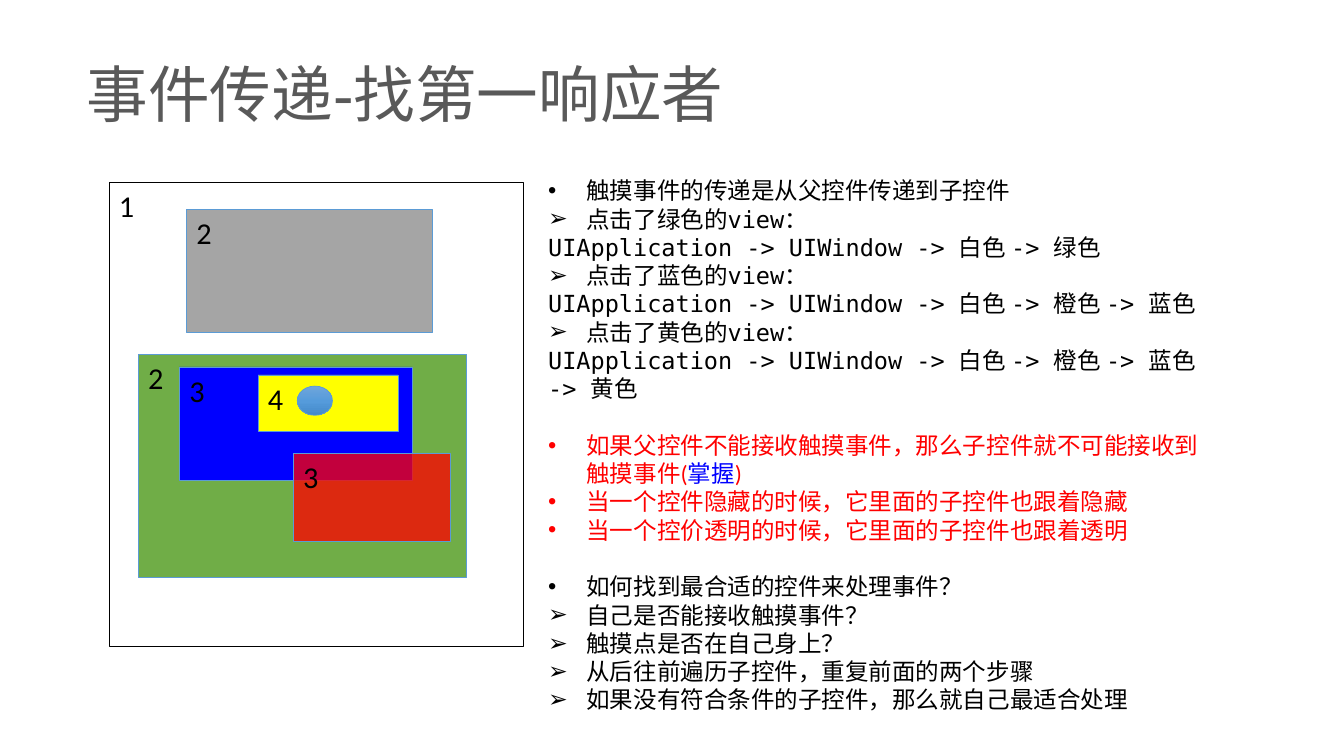
from dataclasses import dataclass
from typing import NamedTuple

from lxml import etree
from pptx import Presentation
from pptx.dml.color import RGBColor
from pptx.enum.shapes import MSO_SHAPE
from pptx.enum.text import MSO_ANCHOR, MSO_AUTO_SIZE
from pptx.oxml.ns import qn
from pptx.util import Inches, Pt

RECT, OVAL = MSO_SHAPE.RECTANGLE, MSO_SHAPE.OVAL
TOP, MIDDLE = MSO_ANCHOR.TOP, MSO_ANCHOR.MIDDLE
NO_FIT, GROW = MSO_AUTO_SIZE.NONE, MSO_AUTO_SIZE.SHAPE_TO_FIT_TEXT
DOT, ARROW = "•", "➢"


@dataclass(frozen=True)
class Theme:
    """Colours, fonts and sizes of the slide."""
    title: str = "595959"
    ink: str = "000000"
    alert: str = "FF0000"
    link: str = "0000FF"
    outline: str = "5B9BD5"
    touch: tuple = ((0, "71A6DB"), (50, "559BDB"), (100, "448ACA"))
    title_font: str = "Arial"
    label_font: str = "Calibri"
    mono_font: str = "DejaVu Sans Mono"
    title_size: float = 44
    label_size: float = 21.6
    body_size: float = 16.8
    hairline: float = 0.5
    section_gap: float = 20.3
    indent: float = 0.38


class Box(NamedTuple):
    """Left, top, width and height in percent of the slide."""
    x: float
    y: float
    w: float
    h: float


class Run(NamedTuple):
    """A stretch of text in one format."""
    text: str
    font: str
    size: float
    color: str


class Para(NamedTuple):
    """A paragraph with an optional bullet and gap above."""
    runs: list[Run]
    bullet: str = ""
    gap: float = 0


class View(NamedTuple):
    """A nested view with its depth and fill."""
    depth: int
    box: Box
    fill: str
    line: str
    opacity: int = 100


T = Theme()
prs = Presentation()
prs.slide_width, prs.slide_height = Inches(13.33), Inches(7.5)
s = prs.slides.add_slide(prs.slide_layouts[6])


def place(box: Box) -> list[int]:
    """Turn slide shares into lengths."""
    sides = (prs.slide_width, prs.slide_height) * 2
    return [round(share * side / 100) for share, side in zip(box, sides)]


def apply(target, formats: dict) -> None:
    """Set each attribute named in the dict."""
    for name, value in formats.items():
        setattr(target, name, value)


def add_bullet(p, char: str) -> None:
    """Give the paragraph a hanging bullet."""
    pPr = p._p.get_or_add_pPr()
    pPr.set("marL", str(Inches(T.indent)))
    pPr.set("indent", str(-Inches(T.indent)))
    etree.SubElement(pPr, qn("a:buFont"), typeface="Arial")
    etree.SubElement(pPr, qn("a:buChar"), char=char)


def add_text(shapes, box: Box, paras: list[Para], **frame):
    """Add a text box holding the paragraphs."""
    sp = shapes.add_textbox(*place(box))
    tf = sp.text_frame
    apply(tf, {"word_wrap": True, "auto_size": NO_FIT, "vertical_anchor": TOP} | frame)
    for i, para in enumerate(paras):
        p = tf.add_paragraph() if i else tf.paragraphs[0]
        p.space_before = Pt(para.gap)
        if para.bullet:
            add_bullet(p, para.bullet)
        for run in para.runs:
            r = p.add_run()
            r.text = run.text
            apply(r.font, {"name": run.font, "size": Pt(run.size)})
            r.font.color.rgb = RGBColor.from_string(run.color)
    return sp


def add_outlined(shapes, kind, box: Box, line: str):
    """Add a flat shape with a hairline outline."""
    sp = shapes.add_shape(kind, *place(box))
    sp.shadow.inherit = False
    sp.line.color.rgb = RGBColor.from_string(line)
    sp.line.width = Pt(T.hairline)
    return sp


def add_view(view: View) -> None:
    """Group a filled view with its depth label."""
    shapes = s.shapes.add_group_shape().shapes
    sp = add_outlined(shapes, RECT, view.box, view.line)
    sp.fill.solid()
    sp.fill.fore_color.rgb = RGBColor.from_string(view.fill)
    if view.opacity < 100:
        clr = sp._element.spPr.find(qn("a:solidFill"))[0]
        etree.SubElement(clr, qn("a:alpha"), val=str(view.opacity * 1000))
    label = Run(str(view.depth), T.label_font, T.label_size, T.ink)
    corner = view.box._replace(w=2.7, h=6.13)
    add_text(shapes, corner, [Para([label])], word_wrap=False, auto_size=GROW)


def add_touch(box: Box) -> None:
    """Draw the touch point with a downward gradient."""
    sp = add_outlined(s.shapes, OVAL, box, T.outline)
    sp.fill.gradient()
    sp.fill.gradient_angle = 270
    stops = sp._element.spPr.find(qn("a:gradFill")).find(qn("a:gsLst"))
    stops.clear()
    for pos, color in T.touch:
        gs = etree.SubElement(stops, qn("a:gs"), pos=str(pos * 1000))
        etree.SubElement(gs, qn("a:srgbClr"), val=color)


def mono(text: str, bullet: str = "", gap: float = 0) -> Para:
    """Make a black body paragraph."""
    return Para([Run(text, T.mono_font, T.body_size, T.ink)], bullet, gap)


def alert(*parts: tuple[str, str], gap: float = 0) -> Para:
    """Make a bulleted rule from text and colour pairs."""
    return Para([Run(t, T.label_font, T.body_size, c) for t, c in parts], DOT, gap)


VIEWS = [
    View(1, Box(8.1, 24.13, 30.82, 61.33), "FFFFFF", T.ink),
    View(2, Box(13.88, 27.73, 18.3, 16.27), "A5A5A5", T.outline),
    View(2, Box(10.28, 46.93, 24.45, 29.47), "70AD47", T.outline),
    View(3, Box(13.35, 48.53, 17.32, 15.07), "0000FF", T.outline),
    View(4, Box(19.2, 49.6, 10.42, 7.47), "FFFF00", T.outline),
    View(3, Box(21.82, 60, 11.7, 11.6), "FF0000", T.outline, 76),
]
ROUTES = {
    "绿色": ["绿色"],
    "蓝色": ["橙色", "蓝色"],
    "黄色": ["橙色", "蓝色", "黄色"],
}
STEPS = [
    "自己是否能接收触摸事件？",
    "触摸点是否在自己身上？",
    "从后往前遍历子控件，重复前面的两个步骤",
    "如果没有符合条件的子控件，那么就自己最适合处理",
]

body = [mono("触摸事件的传递是从父控件传递到子控件", DOT)]
for target, route in ROUTES.items():
    chain = ["UIApplication", "UIWindow", "白色", *route]
    body += [mono(f"点击了{target}的view：", ARROW), mono(" -> ".join(chain))]
body += [
    alert(("如果父控件不能接收触摸事件，那么子控件就不可能接收到触摸事件(", T.alert),
          ("掌握", T.link), (")", T.alert), gap=T.section_gap),
    alert(("当一个控件隐藏的时候，它里面的子控件也跟着隐藏", T.alert)),
    alert(("当一个控价透明的时候，它里面的子控件也跟着透明", T.alert)),
    mono("如何找到最合适的控件来处理事件？", DOT, T.section_gap),
]
body += [mono(step, ARROW) for step in STEPS]

title = Run("事件传递-找第一响应者", T.title_font, T.title_size, T.title)
sp = add_text(s.shapes, Box(5.7, 6.93, 88.9, 12), [Para([title])], vertical_anchor=MIDDLE)
sp.text_frame.paragraphs[0].line_spacing = 0.9
for view in VIEWS:
    add_view(view)
add_text(s.shapes, Box(40.05, 22.67, 51.45, 72.93), body, auto_size=GROW)
add_touch(Box(22.12, 51.07, 2.62, 3.87))

prs.save("out.pptx")
